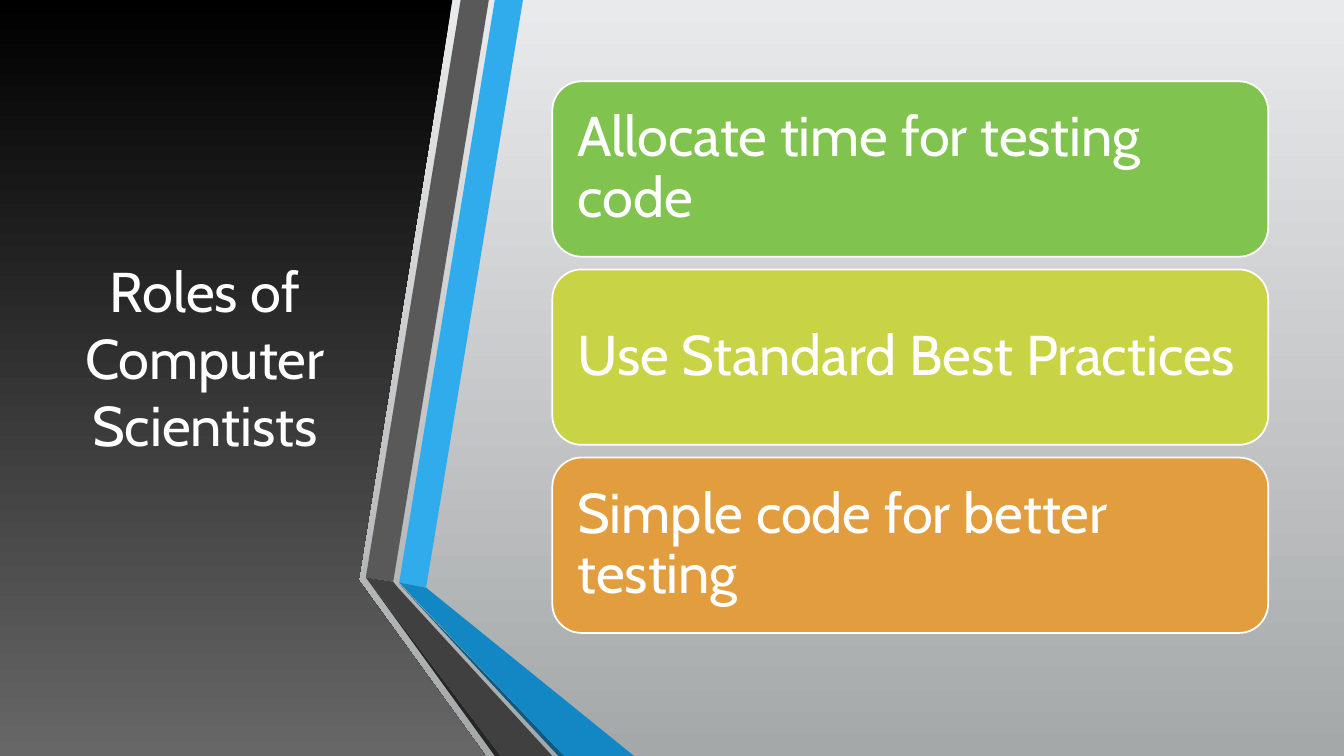
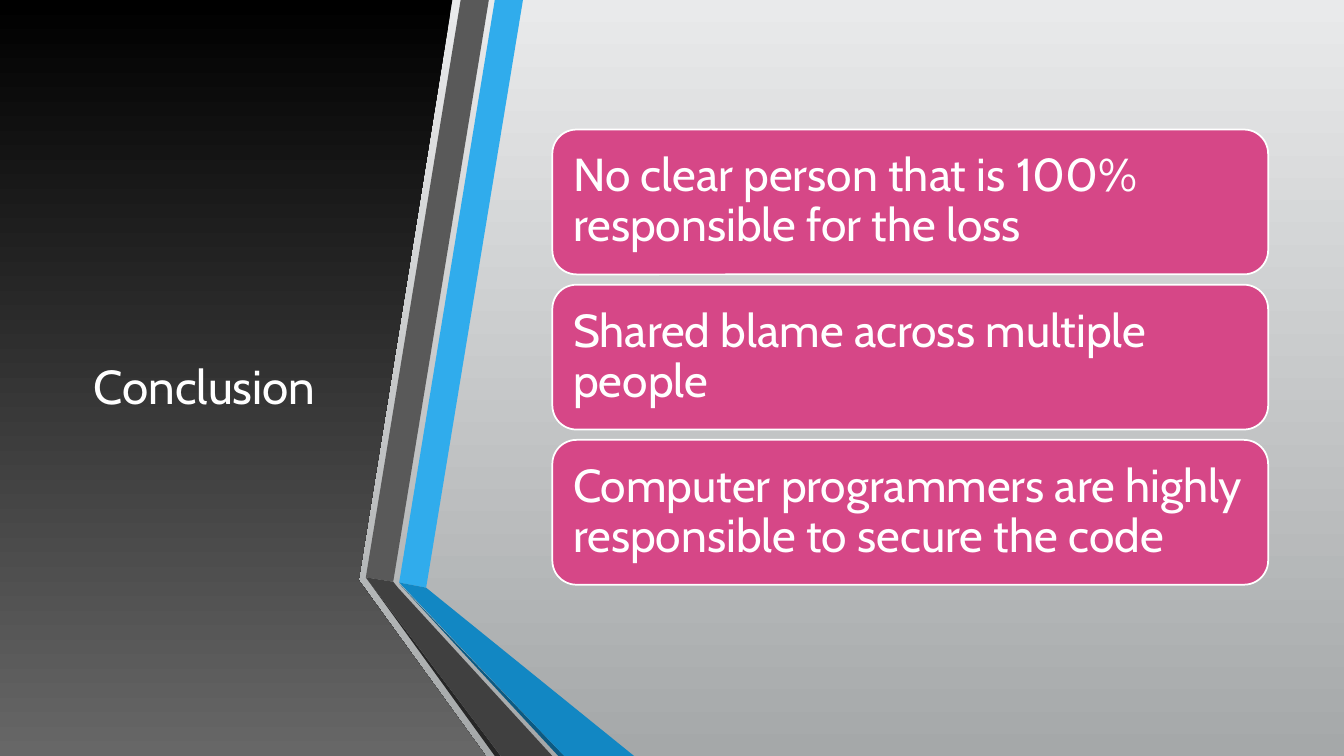
from dataclasses import dataclass

from pptx import Presentation
from pptx.dml.color import RGBColor
from pptx.enum.shapes import MSO_SHAPE
from pptx.enum.text import MSO_ANCHOR, PP_ALIGN
from pptx.util import Cm, Pt


@dataclass(frozen=True)
class Theme:
    """Colours, type and shared measures (in cm) of the deck."""
    font: str = "Cabin"
    white: str = "FFFFFF"
    backdrop: tuple = ("E9EAEB", "A5A8A9")
    panel: tuple = ("000000", "676767")
    blue: str = "30ACEC"
    blue_fold: str = "1287C3"
    blue_edge: str = "0C5A82"
    grey: str = "595959"
    grey_fold: str = "404040"
    grey_edge: str = "262626"
    green: str = "80C34F"
    lime: str = "C8D346"
    orange: str = "E29D3E"
    pink: str = "D64787"
    large: int = 40
    title_small: int = 34
    row_small: int = 33
    outline: float = 1.25
    width: float = 33.87
    height: float = 19.05
    middle: float = 9.0


THEME = Theme()
BOTTOM = THEME.height
PANEL = [(0, 0), (11.4, 0), (9.04, 14.62), (12.24, BOTTOM), (0, BOTTOM)]
RIBBONS = [
    (THEME.blue, [(10.06, 14.68), (10.74, 14.81), (13.18, 0), (12.47, 0)]),
    (THEME.grey, [(12.32, 0), (11.61, 0), (9.22, 14.55), (9.91, 14.66)]),
    (THEME.grey_edge, [(9.22, 14.55), (12.47, BOTTOM), (12.62, BOTTOM)]),
    (THEME.blue_edge, [(10.06, 14.71), (14.07, BOTTOM), (14.22, BOTTOM)]),
    (THEME.blue_fold, [(10.06, 14.68), (14.22, BOTTOM), (15.98, BOTTOM), (10.74, 14.81)]),
    (THEME.grey_fold, [(13.92, BOTTOM), (10.03, 14.81), (9.91, 14.66), (9.22, 14.55),
                       (12.62, BOTTOM)]),
]


def fill_solid(fill, color):
    """Fill with one colour."""
    fill.solid()
    fill.fore_color.rgb = RGBColor.from_string(color)


def fill_gradient(fill, colors):
    """Fill from the first colour at the top to the second at the bottom."""
    fill.gradient()
    fill.gradient_angle = 270
    for stop, color in zip(fill.gradient_stops, colors):
        stop.color.rgb = RGBColor.from_string(color)


def add_outline(slide, points):
    """Draw a closed polygon without line or shadow, given points in cm."""
    corners = [(Cm(x), Cm(y)) for x, y in points]
    builder = slide.shapes.build_freeform(*corners[0])
    builder.add_line_segments(corners[1:], close=True)
    polygon = builder.convert_to_shape()
    polygon.shadow.inherit = False
    polygon.line.fill.background()
    return polygon


def write(frame, text, size, align, spacing=1.0):
    """Write one white, vertically centred paragraph."""
    frame.word_wrap = True
    frame.vertical_anchor = MSO_ANCHOR.MIDDLE
    paragraph = frame.paragraphs[0]
    paragraph.alignment = align
    paragraph.line_spacing = spacing
    run = paragraph.add_run()
    run.text = text
    run.font.name = THEME.font
    run.font.size = Pt(size)
    run.font.color.rgb = RGBColor.from_string(THEME.white)


def add_title(slide, text, size, drop=0):
    """Place the title on the dark panel, lowered by drop cm."""
    height = 14.18
    title = slide.shapes.add_textbox(
        Cm(1.49), Cm(THEME.middle - height / 2 + drop), Cm(7.34), Cm(height))
    write(title.text_frame, text, size, PP_ALIGN.CENTER)


def add_rows(slide, rows, size, height, gap):
    """Stack rounded rows, given as (text, colour), around the middle line."""
    pitch = height + gap
    top = THEME.middle - (len(rows) * pitch - gap) / 2
    inset = Pt(size * 0.3)
    for index, (text, color) in enumerate(rows):
        row = slide.shapes.add_shape(
            MSO_SHAPE.ROUNDED_RECTANGLE,
            Cm(13.92), Cm(top + index * pitch), Cm(18.04), Cm(height))
        row.shadow.inherit = False
        fill_solid(row.fill, color)
        row.line.color.rgb = RGBColor.from_string(THEME.white)
        row.line.width = Pt(THEME.outline)
        frame = row.text_frame
        frame.margin_left = frame.margin_right = inset
        frame.margin_top = frame.margin_bottom = inset
        write(frame, text, size, PP_ALIGN.LEFT, 0.9)


def add_panel_slide(deck):
    """Add a slide with the dark panel and the folded ribbons."""
    slide = deck.slides.add_slide(deck.slide_layouts[6])
    fill_gradient(add_outline(slide, PANEL).fill, THEME.panel)
    for color, points in RIBBONS:
        fill_solid(add_outline(slide, points).fill, color)
    return slide


def main():
    """Build and save the deck."""
    deck = Presentation()
    deck.slide_width, deck.slide_height = Cm(THEME.width), Cm(THEME.height)
    fill_gradient(deck.slide_master.background.fill, THEME.backdrop)

    roles = add_panel_slide(deck)
    add_title(roles, "Roles of Computer Scientists", THEME.large)
    add_rows(roles, [
        ("Allocate time for testing code", THEME.green),
        ("Use Standard Best Practices", THEME.lime),
        ("Simple code for better testing", THEME.orange),
    ], THEME.large, height=4.42, gap=0.32)

    conclusion = add_panel_slide(deck)
    add_title(conclusion, "Conclusion", THEME.title_small, drop=0.71)
    add_rows(conclusion, [
        ("No clear person that is 100% responsible for the loss", THEME.pink),
        ("Shared blame across multiple people", THEME.pink),
        ("Computer programmers are highly responsible to secure the code", THEME.pink),
    ], THEME.row_small, height=3.65, gap=0.26)

    deck.save("out.pptx")


if __name__ == "__main__":
    main()
